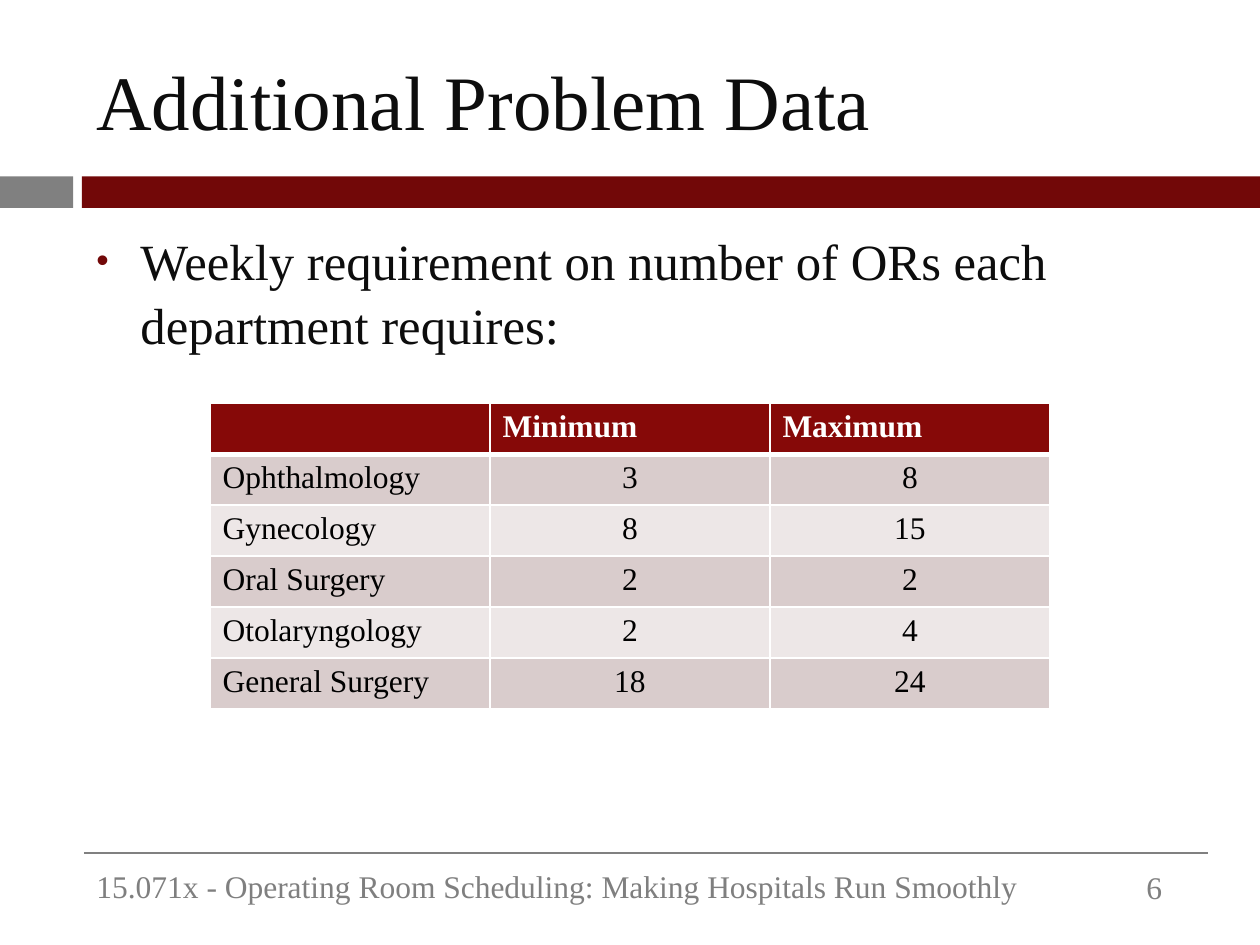
from dataclasses import dataclass
from typing import Any, NamedTuple

from lxml import etree
from pptx import Presentation, util as u
from pptx.dml.color import RGBColor
from pptx.enum import shapes, text
from pptx.oxml import ns


@dataclass(frozen=True)
class Theme:
    font: str = "Times New Roman"
    ink: str = "0D0D0D"
    black: str = "000000"
    white: str = "FFFFFF"
    gray: str = "808080"
    footer: str = "7F7F7F"
    maroon: str = "720808"
    header: str = "860908"
    bands: tuple[str, str] = ("D9CCCC", "EDE7E7")
    title_size: int = 44
    body_size: int = 29
    small_size: int = 18


class Box(NamedTuple):
    """Left, top, width and height as shares of the slide."""
    left: float
    top: float
    width: float
    height: float


class Bar(NamedTuple):
    box: Box
    color: str


class TextBlock(NamedTuple):
    box: Box
    words: str
    size: int
    color: str
    anchor: Any = text.MSO_ANCHOR.TOP
    bullet: bool = False


class Department(NamedTuple):
    name: str
    minimum: int
    maximum: int


THEME = Theme()
WIDTH, HEIGHT = u.Inches(10), u.Inches(7.5)

# Shared grid lines, in shares of the slide
MARGIN, CONTENT = 1 / 15, 0.892
BAND_TOP, BAND_HEIGHT = 1.4 / 7.5, 1 / 30
RULE_Y, FOOTER_Y = 6.77 / 7.5, 6.83 / 7.5

BARS = [
    Bar(Box(0, BAND_TOP, 0.058, BAND_HEIGHT), THEME.gray),
    Bar(Box(0.065, BAND_TOP, 0.935, BAND_HEIGHT), THEME.maroon),
]
TEXTS = [
    TextBlock(Box(MARGIN, 1 / 30, CONTENT, 0.144), "Additional Problem Data",
              THEME.title_size, THEME.ink, text.MSO_ANCHOR.MIDDLE),
    TextBlock(Box(MARGIN, FOOTER_Y, 0.765, 0.053),
              "15.071x - Operating Room Scheduling: Making Hospitals Run Smoothly",
              THEME.small_size, THEME.footer),
    TextBlock(Box(0.9, 6.84 / 7.5, 0.058, 0.052), "6", THEME.small_size, THEME.gray),
    TextBlock(Box(MARGIN, 1.75 / 7.5, CONTENT, 0.656),
              "Weekly requirement on number of ORs each department requires:",
              THEME.body_size, THEME.ink, bullet=True),
]
TABLE_BOX = Box(1 / 6, 3.2 / 7.5, 2 / 3, 0.324)
HEADINGS = ("", "Minimum", "Maximum")
DEPARTMENTS = [
    Department("Ophthalmology", 3, 8),
    Department("Gynecology", 8, 15),
    Department("Oral Surgery", 2, 2),
    Department("Otolaryngology", 2, 4),
    Department("General Surgery", 18, 24),
]


def place(box: Box) -> tuple[int, int, int, int]:
    return (round(box.left * WIDTH), round(box.top * HEIGHT),
            round(box.width * WIDTH), round(box.height * HEIGHT))


def apply_format(target: Any, values: dict[str, Any]) -> None:
    for name, value in values.items():
        setattr(target, name, value)


def paint(fill: Any, color: str) -> None:
    fill.solid()
    fill.fore_color.rgb = RGBColor.from_string(color)


def add_element(parent: Any, tag: str, **attributes: str) -> Any:
    return etree.SubElement(parent, ns.qn(tag), attributes)


def write(paragraph: Any, words: str, size: int, color: str, bold: bool = False) -> None:
    run = paragraph.add_run()
    run.text = words
    apply_format(run.font, {"name": THEME.font, "size": u.Pt(size), "bold": bold})
    run.font.color.rgb = RGBColor.from_string(color)


def add_bullet(paragraph: Any) -> None:
    apply_format(paragraph, {"space_before": u.Pt(7), "line_spacing": 1.05})
    properties = paragraph._p.get_or_add_pPr()
    indent = u.Inches(0.35)
    properties.set("marL", str(indent))
    properties.set("indent", str(-indent))
    add_element(add_element(properties, "a:buClr"), "a:srgbClr", val=THEME.maroon)
    add_element(properties, "a:buSzPct", val="70000")
    add_element(properties, "a:buFont", typeface="Arial")
    add_element(properties, "a:buChar", char="•")


def draw_bar(slide: Any, bar: Bar) -> None:
    shape = slide.shapes.add_shape(shapes.MSO_SHAPE.RECTANGLE, *place(bar.box))
    shape.shadow.inherit = False
    paint(shape.fill, bar.color)
    shape.line.fill.background()


def draw_rule(slide: Any) -> None:
    left, right, y = MARGIN * WIDTH, (MARGIN + CONTENT) * WIDTH, round(RULE_Y * HEIGHT)
    rule = slide.shapes.add_connector(
        shapes.MSO_CONNECTOR.STRAIGHT, round(left), y, round(right), y)
    rule.line.width = u.Pt(1.5)
    rule.line.color.rgb = RGBColor.from_string(THEME.gray)
    add_element(rule._element.spPr, "a:effectLst")


def draw_text(slide: Any, block: TextBlock) -> None:
    frame = slide.shapes.add_textbox(*place(block.box)).text_frame
    apply_format(frame, {"word_wrap": True, "vertical_anchor": block.anchor})
    paragraph = frame.paragraphs[0]
    if block.bullet:
        add_bullet(paragraph)
    write(paragraph, block.words, block.size, block.color)


def add_borders(cell: Any, top: int, bottom: int) -> None:
    properties = cell._tc.get_or_add_tcPr()
    for side, points in {"L": 1, "R": 1, "T": top, "B": bottom}.items():
        line = add_element(properties, f"a:ln{side}", w=str(u.Pt(points)))
        add_element(add_element(line, "a:solidFill"), "a:srgbClr", val=THEME.white)


def draw_table(slide: Any, box: Box) -> None:
    rows = [HEADINGS, *DEPARTMENTS]
    table = slide.shapes.add_table(len(rows), len(HEADINGS), *place(box)).table
    for row, values in enumerate(rows):
        is_header = row == 0
        fill = THEME.header if is_header else THEME.bands[(row - 1) % 2]
        color = THEME.white if is_header else THEME.black
        for column, value in enumerate(values):
            cell = table.cell(row, column)
            # The thick line between header and body belongs to both rows
            add_borders(cell, 3 if row == 1 else 1, 3 if is_header else 1)
            paint(cell.fill, fill)
            paragraph = cell.text_frame.paragraphs[0]
            if isinstance(value, int):
                paragraph.alignment = text.PP_ALIGN.CENTER
            if value != "":
                write(paragraph, str(value), THEME.small_size, color, is_header)


def main() -> None:
    presentation = Presentation()
    apply_format(presentation, {"slide_width": WIDTH, "slide_height": HEIGHT})
    slide = presentation.slides.add_slide(presentation.slide_layouts[6])

    # Band under the title and rule above the footer
    for bar in BARS:
        draw_bar(slide, bar)
    draw_rule(slide)

    # Title, footer, page number and body
    for block in TEXTS:
        draw_text(slide, block)

    # Weekly requirements
    draw_table(slide, TABLE_BOX)
    presentation.save("out.pptx")


if __name__ == "__main__":
    main()
